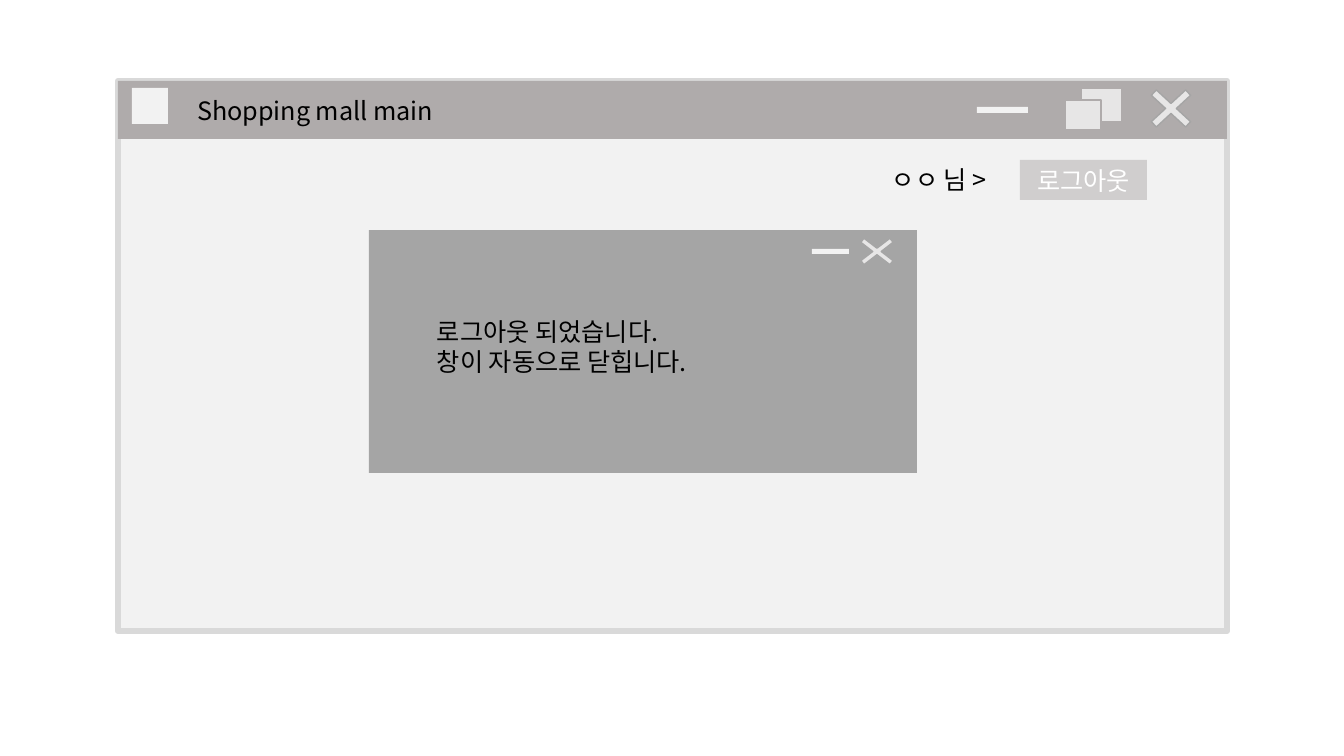
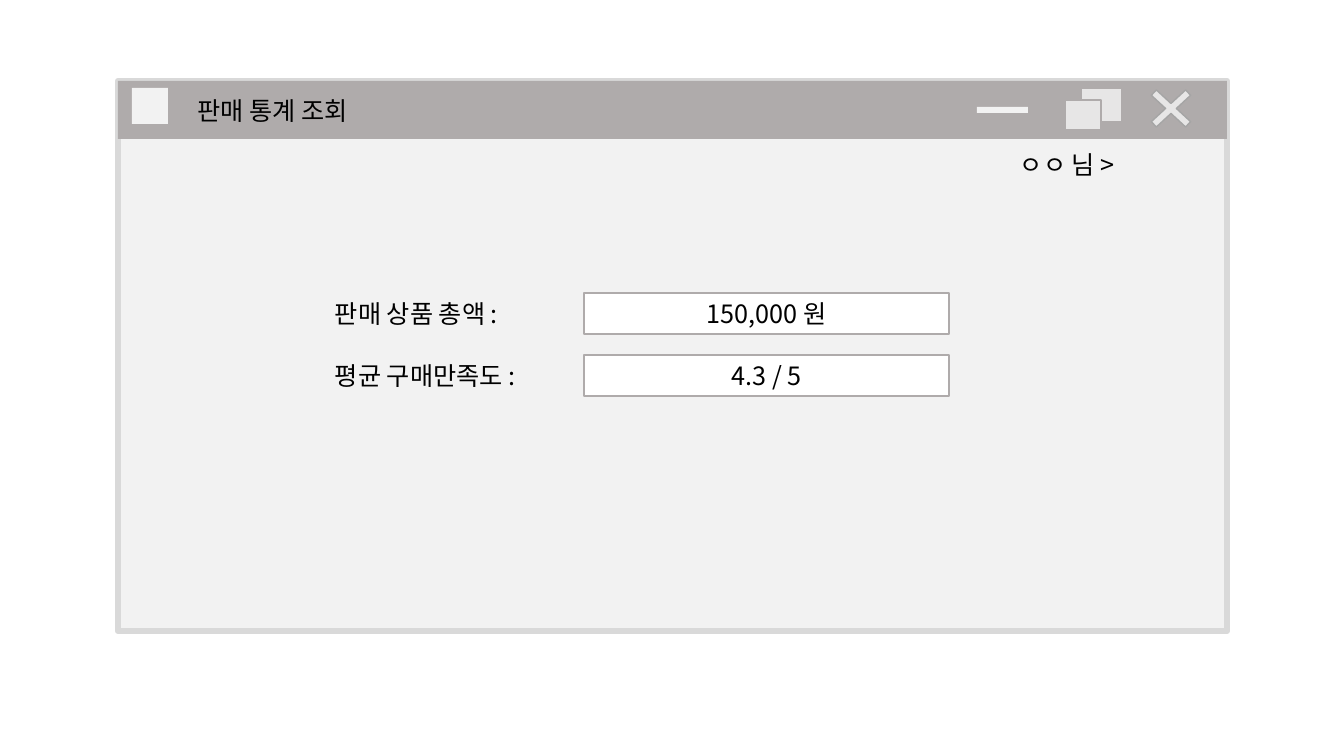
from typing import NamedTuple, Optional

from lxml import etree
from pptx import Presentation
from pptx.dml.color import RGBColor
from pptx.enum.shapes import MSO_SHAPE
from pptx.enum.text import MSO_ANCHOR, MSO_AUTO_SIZE, PP_ALIGN
from pptx.oxml.ns import qn
from pptx.shapes.autoshape import Shape
from pptx.shapes.shapetree import GroupShapes, SlideShapes
from pptx.slide import Slide
from pptx.util import Emu, Pt

RECT = MSO_SHAPE.RECTANGLE
CROSS = MSO_SHAPE.MATH_MULTIPLY
LEFT, CENTER = PP_ALIGN.LEFT, PP_ALIGN.CENTER
TOP, MIDDLE = MSO_ANCHOR.TOP, MSO_ANCHOR.MIDDLE
NO_FIT, GROW = MSO_AUTO_SIZE.NONE, MSO_AUTO_SIZE.SHAPE_TO_FIT_TEXT

BLACK = RGBColor(0x00, 0x00, 0x00)
WHITE = RGBColor(0xFF, 0xFF, 0xFF)
PANEL = RGBColor(0xF2, 0xF2, 0xF2)
FRAME = RGBColor(0xD9, 0xD9, 0xD9)
BAR = RGBColor(0xAF, 0xAB, 0xAB)
ICON = RGBColor(0xE7, 0xE6, 0xE6)
DIALOG = RGBColor(0xA5, 0xA5, 0xA5)
BUTTON = RGBColor(0xD0, 0xCE, 0xCE)

FONT = "Noto Sans CJK KR"
FONT_SIZE = Pt(18)
EMU_PER_PX = 914400 / 100.8
TITLE_ONLY = 5


class Box(NamedTuple):
    """A place on the slide, in pixels."""
    left: int
    top: int
    width: int
    height: int

    def emu(self) -> list[Emu]:
        return [Emu(round(length * EMU_PER_PX)) for length in self]


class Part(NamedTuple):
    """A filled shape, with an outline where a line colour is given."""
    box: Box
    fill: RGBColor
    line: Optional[RGBColor] = None
    line_width: float = 1
    kind: MSO_SHAPE = RECT


class Field(NamedTuple):
    """A label with its value."""
    label: str
    label_width: int
    value: str


WINDOW = [
    Part(Box(118, 81, 1109, 550), PANEL, FRAME, 4.5),
    Part(Box(118, 81, 1109, 58), BAR),
    Part(Box(132, 88, 36, 36), PANEL),
    # Minimize, restore and close
    Part(Box(977, 107, 51, 6), PANEL),
    Part(Box(1081, 88, 41, 34), ICON, BAR),
    Part(Box(1065, 100, 36, 30), ICON, BAR),
    Part(Box(1138, 78, 66, 61), ICON, DIALOG, kind=CROSS),
]

LOGOUT_DIALOG = [
    Part(Box(369, 230, 548, 243), DIALOG),
    Part(Box(812, 249, 37, 5), PANEL),
    Part(Box(849, 230, 56, 43), ICON, DIALOG, kind=CROSS),
]

FIELDS = [
    Field("판매 상품 총액 :", 211, "150,000 원"),
    Field("평균 구매만족도 :", 245, "4.3 / 5"),
]
FIELD_TOP, FIELD_PITCH = 293, 62


def add_part(shapes: SlideShapes | GroupShapes, part: Part) -> Shape:
    shape = shapes.add_shape(part.kind, *part.box.emu())
    shape.shadow.inherit = False
    shape.fill.solid()
    shape.fill.fore_color.rgb = part.fill
    if part.line is None:
        shape.line.fill.background()
    else:
        shape.line.color.rgb = part.line
        shape.line.width = Pt(part.line_width)
    if part.kind == CROSS:
        shape.adjustments[0] = 0.12
    return shape


def write(shape: Shape, text: str, color: RGBColor = BLACK,
          align: PP_ALIGN = LEFT, anchor: MSO_ANCHOR = TOP) -> None:
    frame = shape.text_frame
    frame.word_wrap = True
    frame.vertical_anchor = anchor
    frame.text = text
    for paragraph in frame.paragraphs:
        paragraph.alignment = align
        paragraph.line_spacing = 1.0
        font = paragraph.font
        font.name, font.size = FONT, FONT_SIZE
        font.color.rgb = color
        # Hangul takes the East Asian typeface
        defaults = paragraph._p.pPr.find(qn("a:defRPr"))
        etree.SubElement(defaults, qn("a:ea")).set("typeface", FONT)


def add_label(slide: Slide, box: Box, text: str) -> None:
    label = slide.shapes.add_textbox(*box.emu())
    write(label, text)
    label.text_frame.auto_size = GROW


def add_window(deck: Presentation, title: str, title_width: int,
               user_left: int, user_top: int) -> Slide:
    slide = deck.slides.add_slide(deck.slide_layouts[TITLE_ONLY])
    window = slide.shapes.add_group_shape()
    for part in WINDOW:
        add_part(window.shapes, part)

    # Title, brought in front of the title bar
    heading = slide.shapes.title
    heading.left, heading.top, heading.width, heading.height = Box(
        187, 90, title_width, 40).emu()
    write(heading, title)
    heading.text_frame.auto_size = NO_FIT
    heading.element.getparent().append(heading.element)

    # Signed-in user
    add_label(slide, Box(user_left, user_top, 183, 40), "ㅇㅇ 님 >")
    return slide


def add_logout_slide(deck: Presentation) -> None:
    slide = add_window(deck, "Shopping mall main", 319, 882, 159)
    logout = add_part(slide.shapes, Part(Box(1020, 160, 127, 40), BUTTON))
    write(logout, "로그아웃", WHITE, CENTER, MIDDLE)
    for part in LOGOUT_DIALOG:
        add_part(slide.shapes, part)
    add_label(slide, Box(427, 311, 429, 72),
              "로그아웃 되었습니다.\n창이 자동으로 닫힙니다.")


def add_statistics_slide(deck: Presentation) -> None:
    slide = add_window(deck, "판매 통계 조회", 232, 1010, 144)
    for row, field in enumerate(FIELDS):
        top = FIELD_TOP + row * FIELD_PITCH
        value = add_part(slide.shapes, Part(Box(584, top, 365, 41), WHITE, BAR))
        write(value, field.value, BLACK, CENTER, MIDDLE)
        add_label(slide, Box(325, top, field.label_width, 40), field.label)


presentation = Presentation()
presentation.slide_width, presentation.slide_height = Box(0, 0, 1344, 756).emu()[2:]
add_logout_slide(presentation)
add_statistics_slide(presentation)
presentation.save("out.pptx")
